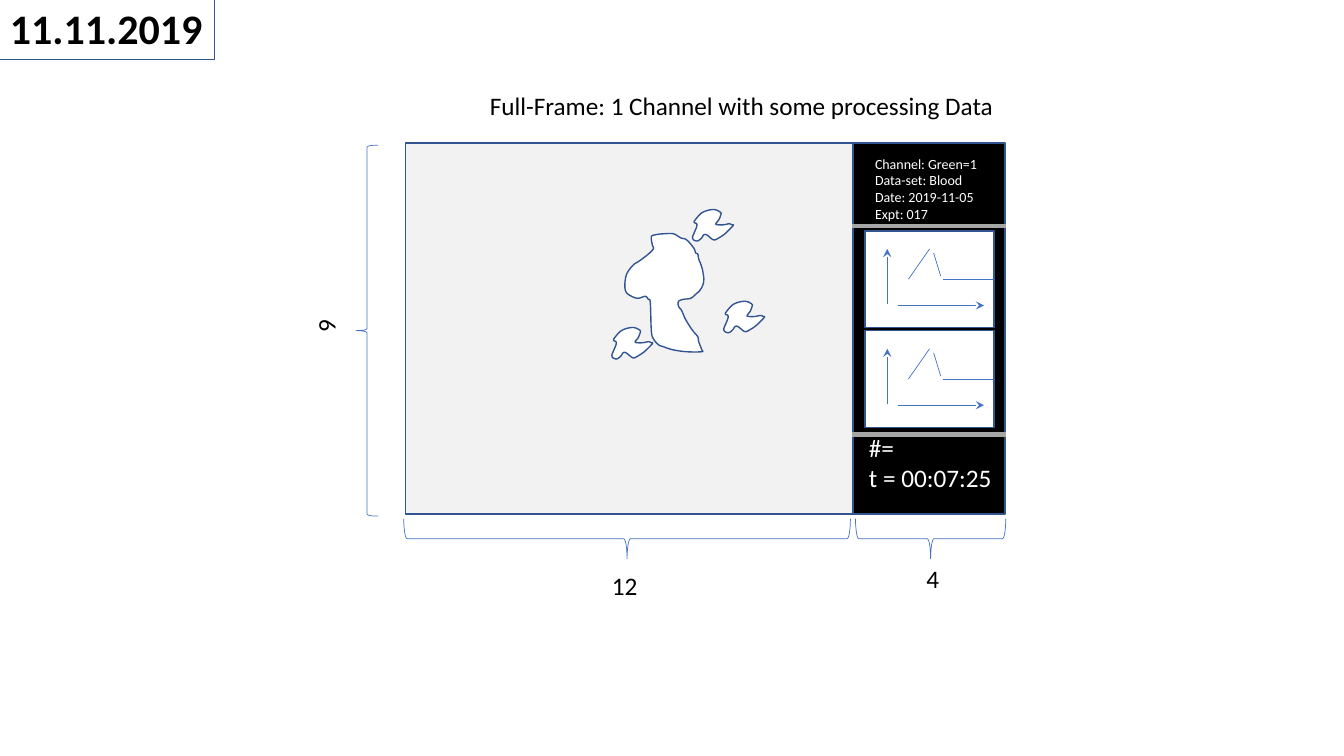
"""Build the slide that shows a full-frame layout with one channel and its data panel."""
from dataclasses import dataclass
from typing import Any, Optional

from lxml import etree
from pptx import Presentation
from pptx.dml.color import RGBColor
from pptx.enum.shapes import MSO_CONNECTOR, MSO_SHAPE
from pptx.enum.text import MSO_AUTO_SIZE, PP_ALIGN
from pptx.oxml.ns import qn
from pptx.util import Inches, Pt

STRAIGHT = MSO_CONNECTOR.STRAIGHT
RECT, BRACE = MSO_SHAPE.RECTANGLE, MSO_SHAPE.LEFT_BRACE
GROW = MSO_AUTO_SIZE.SHAPE_TO_FIT_TEXT
LEFT, CENTER = PP_ALIGN.LEFT, PP_ALIGN.CENTER

BLACK = RGBColor(0x00, 0x00, 0x00)
WHITE = RGBColor(0xFF, 0xFF, 0xFF)
PALE = RGBColor(0xF2, 0xF2, 0xF2)
GRAY = RGBColor(0xA6, 0xA6, 0xA6)
BLUE = RGBColor(0x44, 0x72, 0xC4)
NAVY = RGBColor(0x32, 0x54, 0x91)
FONT = "Calibri"
Points = list[tuple[float, float]]


@dataclass
class Box:
    """A preset shape with its place, fill, outline and turn."""
    left: float
    top: float
    width: float
    height: float
    fill: Optional[RGBColor] = None
    kind: MSO_SHAPE = RECT
    color: RGBColor = NAVY
    weight: float = 1
    turn: float = 0


@dataclass
class Label:
    """A text box with its place and type."""
    text: str
    left: float
    top: float
    width: float
    height: float
    size: float = 18
    color: RGBColor = BLACK
    bold: bool = False
    align: PP_ALIGN = LEFT
    wrap: bool = True
    turn: float = 0
    edge: Optional[RGBColor] = None


@dataclass
class Line:
    """A straight line, with an arrowhead at its end if wanted."""
    x1: float
    y1: float
    x2: float
    y2: float
    arrow: bool = False
    color: RGBColor = BLUE
    weight: float = 0.5


def draw_box(shapes: Any, box: Box) -> None:
    """Draw a preset shape."""
    shape = shapes.add_shape(box.kind, Inches(box.left), Inches(box.top),
                             Inches(box.width), Inches(box.height))
    shape.rotation = box.turn
    paint(shape, box.fill, box.color, box.weight)


def paint(shape: Any, fill: Optional[RGBColor], color: RGBColor, weight: float) -> None:
    """Set the fill and outline of a shape and drop its shadow."""
    shape.shadow.inherit = False
    if fill is None:
        shape.fill.background()
    else:
        shape.fill.solid()
        shape.fill.fore_color.rgb = fill
    shape.line.color.rgb = color
    shape.line.width = Pt(weight)


def draw_label(shapes: Any, label: Label) -> None:
    """Draw a text box."""
    shape = shapes.add_textbox(Inches(label.left), Inches(label.top),
                               Inches(label.width), Inches(label.height))
    shape.rotation = label.turn
    if label.edge is not None:
        shape.line.color.rgb = label.edge
        shape.line.width = Pt(0.75)
    frame = shape.text_frame
    frame.text = label.text
    frame.word_wrap = label.wrap
    frame.auto_size = GROW
    for para in frame.paragraphs:
        para.alignment = label.align
        for run in para.runs:
            run.font.name = FONT
            run.font.size = Pt(label.size)
            run.font.bold = label.bold
            run.font.color.rgb = label.color


def draw_line(shapes: Any, line: Line, drop: float = 0) -> None:
    """Draw a line, moved down by drop inches."""
    shape = shapes.add_connector(STRAIGHT, Inches(line.x1), Inches(line.y1 + drop),
                                 Inches(line.x2), Inches(line.y2 + drop))
    shape.line.color.rgb = line.color
    shape.line.width = Pt(line.weight)
    props = shape._element.spPr
    if line.arrow:
        etree.SubElement(props.find(qn("a:ln")), qn("a:tailEnd"), type="stealth")
    etree.SubElement(props, qn("a:effectLst"))


def blend(prior: float, start: float, end: float, after: float, t: float) -> float:
    """Return the Catmull-Rom value at share t of the way from start to end."""
    slope = end - prior
    bend = 2 * prior - 5 * start + 4 * end - after
    twist = 3 * (start - end) + after - prior
    return start + (slope * t + bend * t ** 2 + twist * t ** 3) / 2


def smooth(points: Points, steps: int = 4) -> Points:
    """Round a closed outline with a spline through its points."""
    curve = []
    count = len(points)
    for i in range(count):
        near = [points[(i + shift) % count] for shift in (-1, 0, 1, 2)]
        xs, ys = zip(*near)
        for step in range(steps):
            t = step / steps
            curve.append((blend(*xs, t), blend(*ys, t)))
    return curve


def draw_cell(shapes: Any, points: Points, right: float = 0, down: float = 0) -> None:
    """Draw a closed, rounded outline, moved by the given inches."""
    curve = [(Inches(x + right), Inches(y + down)) for x, y in smooth(points)]
    pen = shapes.build_freeform(*curve[0])
    pen.add_line_segments(curve[1:], close=True)
    paint(pen.convert_to_shape(), WHITE, NAVY, 1)


TOP, HEIGHT = 1.42, 3.68
VIEW_LEFT, VIEW_WIDTH = 4.02, 4.44
PANEL_LEFT, PANEL_WIDTH = VIEW_LEFT + VIEW_WIDTH, 1.51
PLOT_LEFT, PLOT_WIDTH, PLOT_HEIGHT = 8.58, 1.28, 0.96
PLOT_TOPS = [2.29, 3.28]
FRAMES = [Box(VIEW_LEFT, TOP, VIEW_WIDTH, HEIGHT, PALE),
          Box(PANEL_LEFT, TOP, PANEL_WIDTH, HEIGHT, BLACK)]
STATUS = [Label("Channel: Green=1\nData-set: Blood\nDate: 2019-11-05\nExpt: 017",
                PLOT_LEFT, 1.49, PLOT_WIDTH, 0.77, 10, WHITE),
          Label("#=\nt = 00:07:25", 8.52, 4.24, 1.46, 0.71, color=WHITE)]
AXES = [Line(8.8, 0.73, 8.8, 0.18, True), Line(8.91, 0.74, 9.76, 0.74, True)]
CURVE = [Line(9.01, 0.48, 9.22, 0.18), Line(9.26, 0.22, 9.33, 0.45),
         Line(9.35, 0.48, PLOT_LEFT + PLOT_WIDTH, 0.48)]
RULES = [Line(8.45, y, 9.98, y, color=GRAY, weight=3) for y in (2.24, 4.31)]
LARGE = [
    (6.9, 2.51), (6.88, 2.46), (6.81, 2.38), (6.75, 2.36), (6.68, 2.32), (6.58, 2.32),
    (6.5, 2.33), (6.46, 2.35), (6.47, 2.43), (6.48, 2.47), (6.42, 2.53), (6.34, 2.59),
    (6.28, 2.63), (6.22, 2.71), (6.2, 2.79), (6.2, 2.87), (6.23, 2.92), (6.32, 2.96),
    (6.4, 2.94), (6.43, 2.97), (6.45, 3.0), (6.46, 3.28), (6.48, 3.36), (6.53, 3.42),
    (6.58, 3.44), (6.67, 3.47), (6.81, 3.49), (6.96, 3.49), (6.96, 3.47), (6.93, 3.39),
    (6.92, 3.34), (6.87, 3.28), (6.8, 3.17), (6.76, 3.08), (6.73, 3.04), (6.73, 2.99),
    (6.78, 2.97), (6.85, 2.96), (6.9, 2.92), (6.95, 2.87), (6.98, 2.79), (6.97, 2.69),
    (6.95, 2.62), (6.93, 2.57), (6.92, 2.52)]
SMALL = [
    (7.06, 2.08), (7.01, 2.09), (6.95, 2.12), (6.89, 2.19), (6.89, 2.21), (6.91, 2.22),
    (6.91, 2.25), (6.89, 2.3), (6.87, 2.35), (6.88, 2.38), (6.92, 2.39), (6.96, 2.36),
    (6.98, 2.33), (7.01, 2.33), (7.06, 2.37), (7.09, 2.38), (7.13, 2.36), (7.19, 2.32),
    (7.27, 2.24), (7.26, 2.23), (7.23, 2.22), (7.18, 2.23), (7.12, 2.23), (7.1, 2.22),
    (7.13, 2.18), (7.15, 2.13), (7.15, 2.11), (7.12, 2.09), (7.09, 2.08)]
SHIFTS = [(0, 0), (-0.8, 1.17), (0.31, 0.91)]
BRACES = [Box(*place, None, BRACE, BLUE, 0.5, turn) for *place, turn in (
    (6.02, 3.13, 0.4, 4.43, 270), (9.03, 4.6, 0.4, 1.49, 270), (3.53, 1.44, 0.22, HEIGHT, 0))]
LABELS = [Label("Full-Frame: 1 Channel with some processing Data",
                4.73, 0.85, 5.25, 0.4, align=CENTER),
          Label("11.11.2019", 0, -0.02, 2.13, 0.61, 30, bold=True, wrap=False, edge=NAVY),
          Label("12", 5.97, 5.61, 0.46, 0.4, wrap=False),
          Label("4", 9.09, 5.54, 0.33, 0.4, wrap=False),
          Label("9", 2.96, 2.93, 0.54, 0.4, turn=270)]

deck = Presentation()
deck.slide_width, deck.slide_height = Inches(13.33), Inches(7.5)
shapes = deck.slides.add_slide(deck.slide_layouts[6]).shapes
for frame in FRAMES:
    draw_box(shapes, frame)
for label in STATUS:
    draw_label(shapes, label)
for top in PLOT_TOPS:
    plot = shapes.add_group_shape().shapes
    draw_box(plot, Box(PLOT_LEFT, top, PLOT_WIDTH, PLOT_HEIGHT, WHITE))
    for line in AXES + CURVE:
        draw_line(plot, line, top)
for rule in RULES:
    draw_line(shapes, rule)
draw_cell(shapes, LARGE)
for right, down in SHIFTS:
    draw_cell(shapes, SMALL, right, down)
for brace in BRACES:
    draw_box(shapes, brace)
for label in LABELS:
    draw_label(shapes, label)
deck.save("out.pptx")
